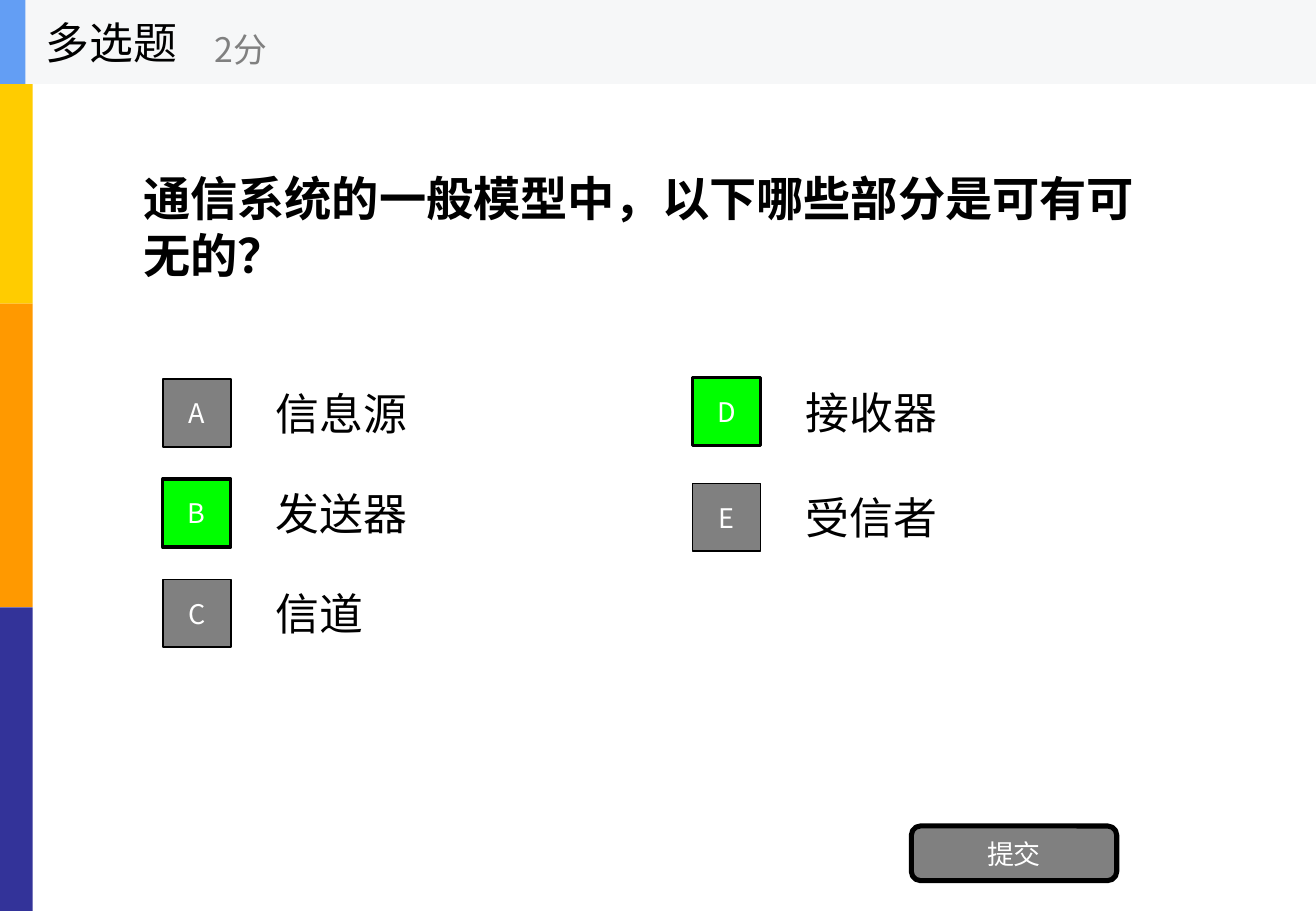
from pptx import Presentation
from pptx.dml.color import RGBColor
from pptx.enum.shapes import MSO_SHAPE
from pptx.enum.text import MSO_ANCHOR, PP_ALIGN
from pptx.oxml.ns import qn
from pptx.util import Inches, Pt

COLORS = {
    "yellow": "FFCC00", "orange": "FF9900", "indigo": "333399",
    "header": "F6F7F8", "accent": "639EF4", "gray": "808080",
    "green": "00FF00", "black": "000000", "white": "FFFFFF",
}
CJK = "Noto Sans CJK SC"
WIDTH, HEIGHT, HEADER_H = 10.83, 7.5, 0.69

prs = Presentation()
prs.slide_width, prs.slide_height = Inches(WIDTH), Inches(HEIGHT)
s = prs.slides.add_slide(prs.slide_layouts[6])


def write(sp, text, size, color="black", font=CJK, bold=False,
          align=PP_ALIGN.LEFT, wrap=True):
    tf = sp.text_frame
    tf.word_wrap = wrap
    tf.vertical_anchor = MSO_ANCHOR.MIDDLE
    p = tf.paragraphs[0]
    p.alignment = align
    r = p.add_run()
    r.text = text
    r.font.size, r.font.bold, r.font.name = Pt(size), bold, font
    r.font.color.rgb = RGBColor.from_string(COLORS[color])
    ea = r.font._element.makeelement(qn("a:ea"), {"typeface": font})
    r.font._element.find(qn("a:latin")).addnext(ea)


def block(x, y, w, h, fill, line=0, kind=MSO_SHAPE.RECTANGLE):
    sp = s.shapes.add_shape(kind, Inches(x), Inches(y), Inches(w), Inches(h))
    sp.shadow.inherit = False
    sp.fill.solid()
    sp.fill.fore_color.rgb = RGBColor.from_string(COLORS[fill])
    if line:
        sp.line.color.rgb = RGBColor.from_string(COLORS["black"])
        sp.line.width = Pt(line)
    else:
        sp.line.fill.background()
    return sp


# Side stripe in three equal bands
for i, color in enumerate(("yellow", "orange", "indigo")):
    block(0, i * HEIGHT / 3, 0.27, HEIGHT / 3, color)

# Header bar
block(0, 0, WIDTH, HEADER_H, "header")
block(0, 0, 0.21, HEADER_H, "accent")

# Header labels and question
for x, y, w, h, text, style in (
    (0.28, 0, 2.08, HEADER_H, "多选题", dict(size=26, wrap=False)),
    (1.67, 0.12, 2.5, 0.56, "2分", dict(size=20, color="gray", wrap=False)),
    (1.08, HEADER_H, 8.67, 2.34, "通信系统的一般模型中，以下哪些部分是可有可无的？",
     dict(size=28, font="Arial", bold=True)),
):
    sp = s.shapes.add_textbox(Inches(x), Inches(y), Inches(w), Inches(h))
    write(sp, text, **style)

# Answer options: left, top and row step of each column
BOX, LABEL_H = 0.56, 0.7
columns = (
    (1.34, 3.12, 0.825, (("A", "信息源", False), ("B", "发送器", True),
                         ("C", "信道", False))),
    (5.7, 3.11, 0.87, (("D", "接收器", True), ("E", "受信者", False))),
)
for left, top, step, options in columns:
    for row, (letter, label, correct) in enumerate(options):
        y = top + row * step
        sp = block(left, y, BOX, BOX, "green" if correct else "gray",
                   2 if correct else 1)
        write(sp, letter, 16, "white", align=PP_ALIGN.CENTER)
        sp = s.shapes.add_textbox(Inches(left + 0.83),
                                  Inches(y - (LABEL_H - BOX) / 2),
                                  Inches(3.8), Inches(LABEL_H))
        write(sp, label, 26)

# Submit button
sp = block(7.5, 6.8, 1.69, 0.45, "gray", 3, MSO_SHAPE.ROUNDED_RECTANGLE)
write(sp, "提交", 16, "white", align=PP_ALIGN.CENTER)

prs.save("out.pptx")
